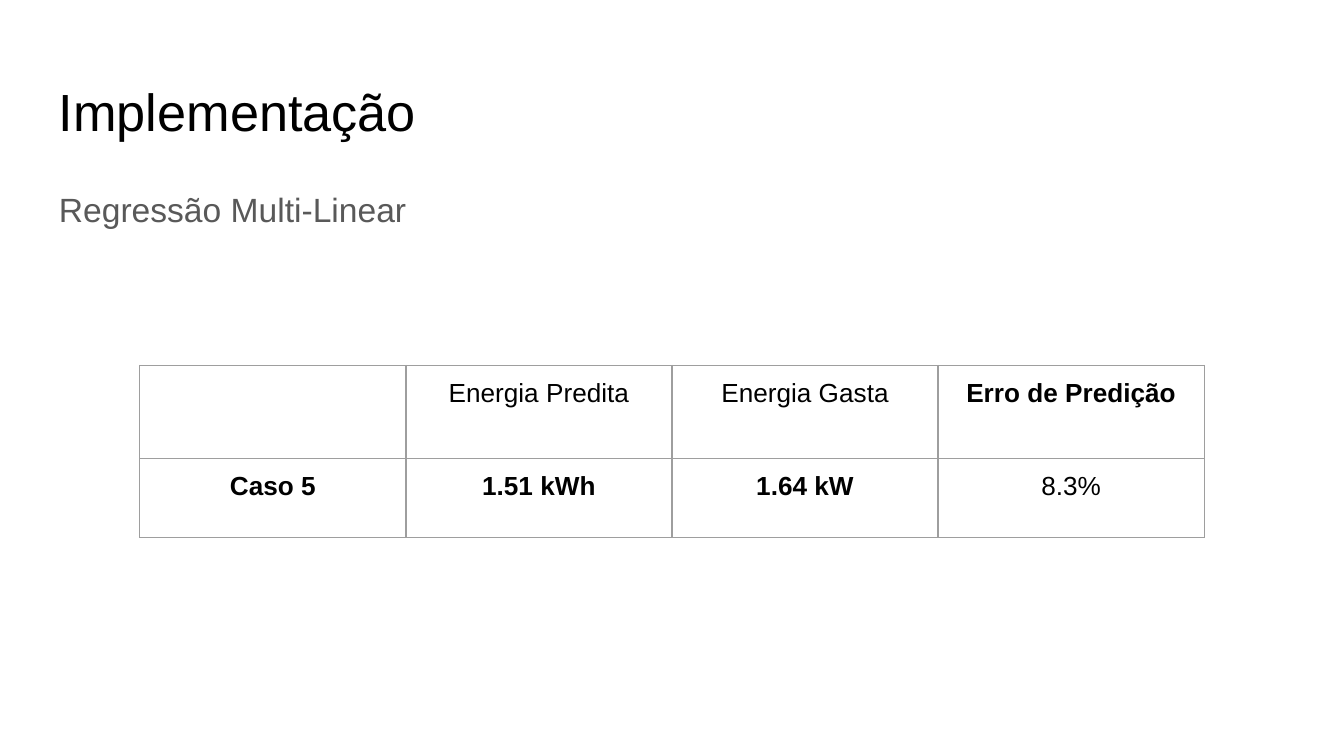
from lxml import etree
from pptx import Presentation
from pptx.dml.color import RGBColor
from pptx.enum.text import PP_ALIGN
from pptx.oxml.ns import qn
from pptx.util import Inches, Pt

CENTER = PP_ALIGN.CENTER
FONT = "Arial"
BLACK, GRAY, BORDER = "000000", "595959", "9E9E9E"
INSET = 0.1

TITLE = "Implementação"
SUBTITLE = "Regressão Multi-Linear"
RESULTS = [
    [("", False), ("Energia Predita", False), ("Energia Gasta", False), ("Erro de Predição", True)],
    [("Caso 5", True), ("1.51 kWh", True), ("1.64 kW", True), ("8.3%", False)],
]
TABLE_LEFT, TABLE_TOP = 1.04, 2.72
COLUMN_WIDTH = 1.98
ROW_HEIGHTS = [0.69, 0.59]


def color(value):
    return RGBColor.from_string(value)


def style(para, size, hue, bold=False):
    para.font.name = FONT
    para.font.size = Pt(size)
    para.font.color.rgb = color(hue)
    para.font.bold = bold


def set_insets(target):
    target.margin_left = target.margin_right = Inches(INSET)
    target.margin_top = target.margin_bottom = Inches(INSET)


def add_text(page, text, top, height, size, hue):
    box = page.shapes.add_textbox(Inches(0.34), Inches(top), Inches(9.32), Inches(height))
    frame = box.text_frame
    frame.word_wrap = True
    set_insets(frame)
    para = frame.paragraphs[0]
    para.text = text
    style(para, size, hue)
    return para


def add_borders(cell):
    properties = cell._tc.get_or_add_tcPr()
    for side in ("a:lnL", "a:lnR", "a:lnT", "a:lnB"):
        line = etree.SubElement(properties, qn(side), w=str(Pt(0.75)))
        fill = etree.SubElement(line, qn("a:solidFill"))
        etree.SubElement(fill, qn("a:srgbClr"), val=BORDER)


def add_results(page):
    columns = len(RESULTS[0])
    table = page.shapes.add_table(
        len(RESULTS), columns, Inches(TABLE_LEFT), Inches(TABLE_TOP),
        Inches(COLUMN_WIDTH * columns), Inches(sum(ROW_HEIGHTS)),
    ).table
    table.first_row = table.horz_banding = False
    for column in table.columns:
        column.width = Inches(COLUMN_WIDTH)
    for row_index, (row, height) in enumerate(zip(RESULTS, ROW_HEIGHTS)):
        table.rows[row_index].height = Inches(height)
        for column_index, (text, bold) in enumerate(row):
            cell = table.cell(row_index, column_index)
            set_insets(cell)
            add_borders(cell)
            cell.fill.background()
            para = cell.text_frame.paragraphs[0]
            para.text = text
            para.alignment = CENTER
            style(para, 14, BLACK, bold)


def main():
    deck = Presentation()
    deck.slide_width = Inches(10)
    deck.slide_height = deck.slide_width * 9 // 16
    page = deck.slides.add_slide(deck.slide_layouts[6])
    add_text(page, TITLE, 0.49, 0.63, 28, BLACK)
    subtitle = add_text(page, SUBTITLE, 1.26, 3.74, 18, GRAY)
    subtitle.line_spacing = 1.15
    subtitle.space_after = Pt(16)
    add_results(page)
    deck.save("out.pptx")


if __name__ == "__main__":
    main()
